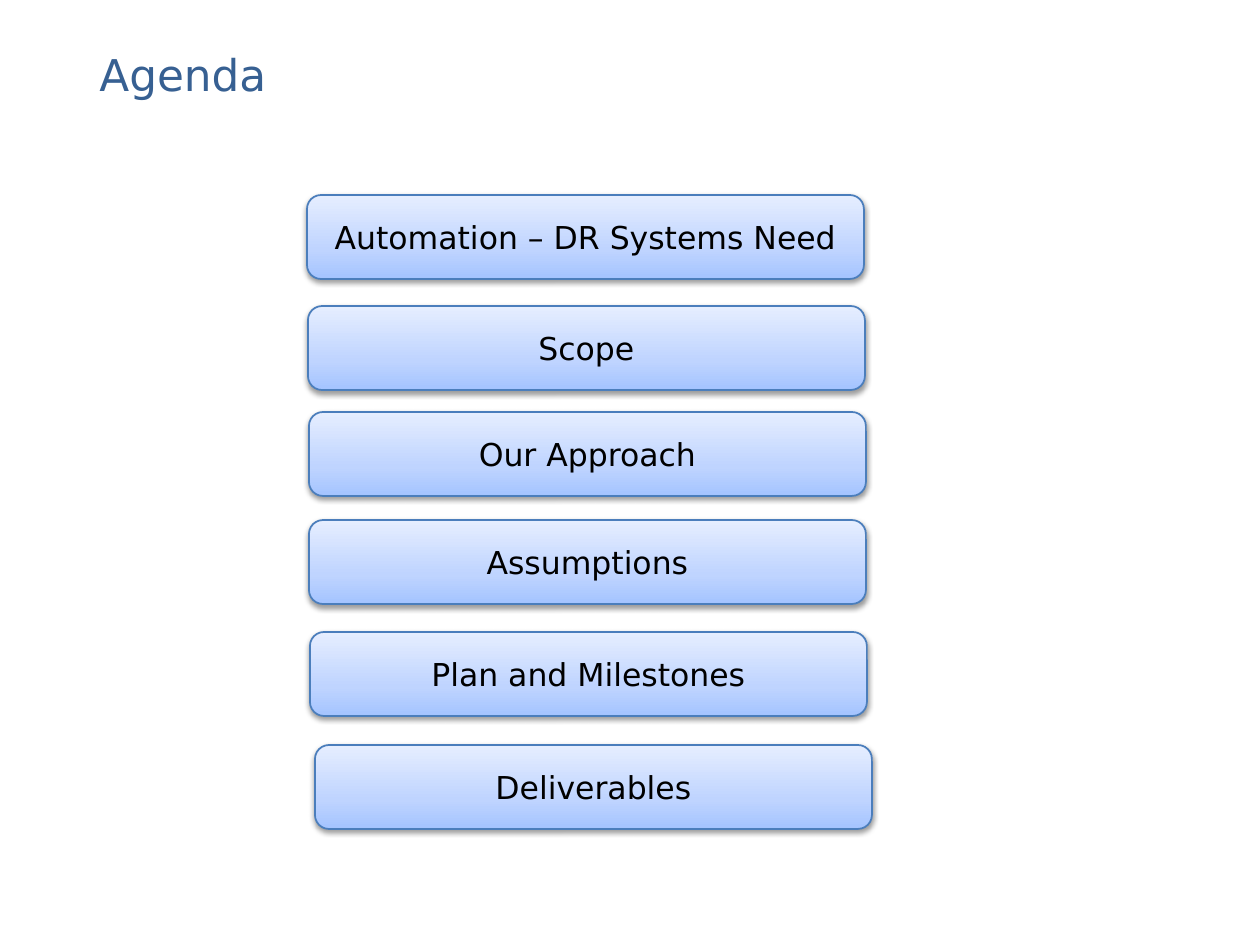
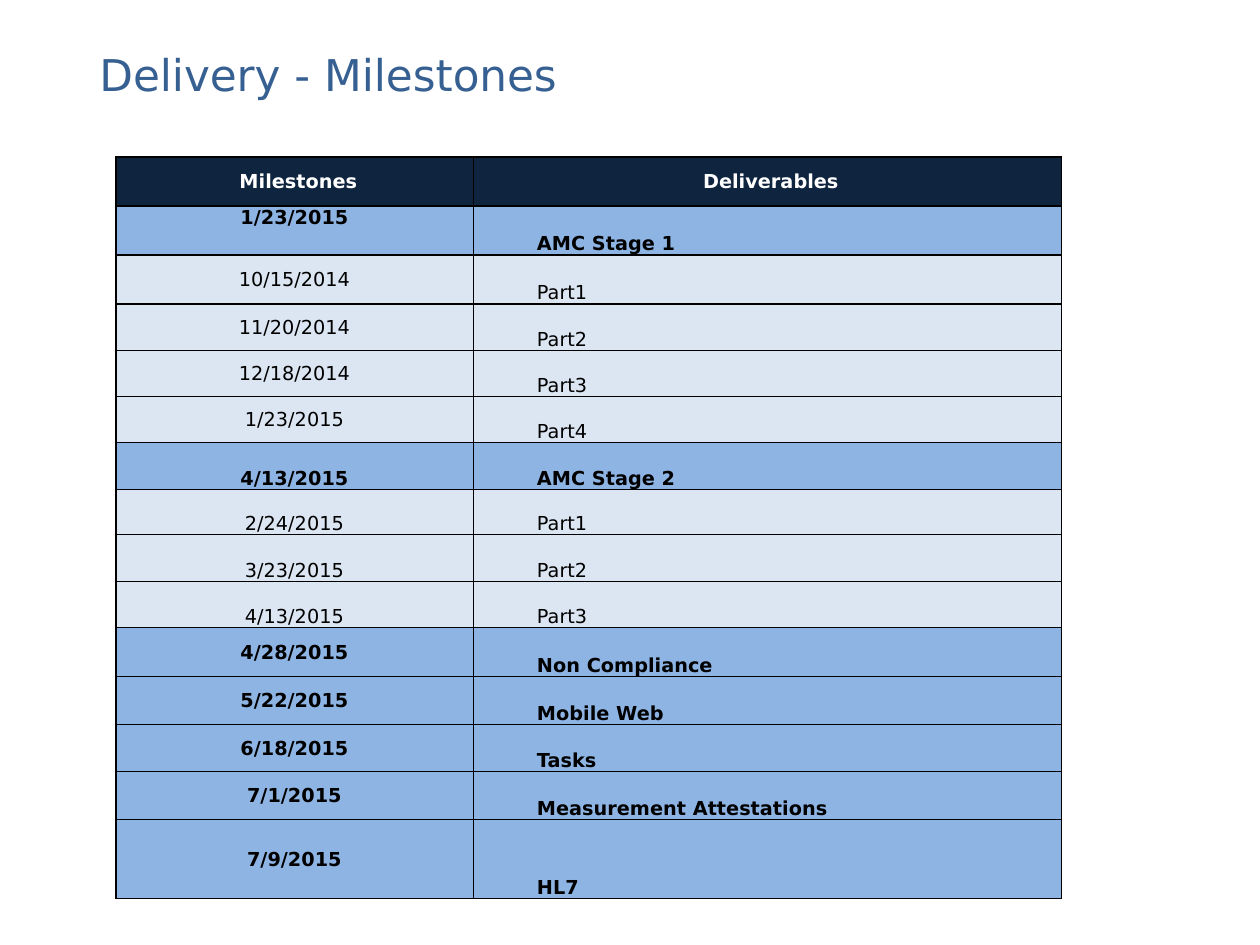
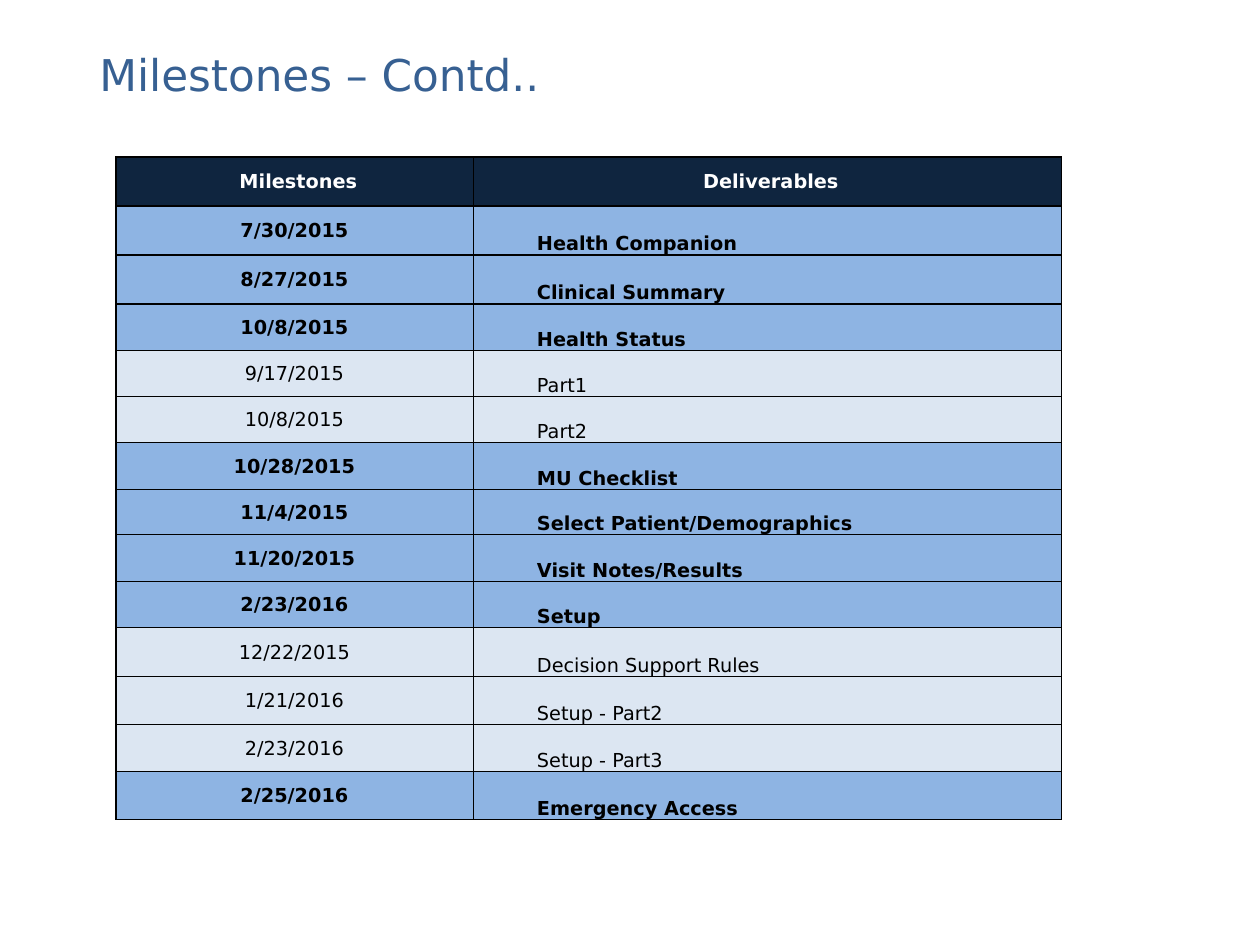
from dataclasses import dataclass
from lxml.etree import SubElement
from pptx import Presentation
from pptx.dml.color import RGBColor
from pptx.enum.shapes import MSO_SHAPE
from pptx.enum.text import MSO_ANCHOR as Anchor, MSO_AUTO_SIZE as AutoSize, PP_ALIGN as Align
from pptx.oxml import parse_xml
from pptx.oxml.ns import nsdecls, qn
from pptx.util import Emu, Pt

EMU_PER_PX = 914400 / 126


@dataclass(frozen=True)
class Theme:
    """Colours, font and type sizes shared by the slides."""
    font: str = "DejaVu Sans"
    title: str = "376092"
    ink: str = "000000"
    header_ink: str = "FFFFFF"
    header_fill: str = "0F253F"
    stage_fill: str = "8EB4E3"
    step_fill: str = "DCE6F2"
    outline: str = "4B7EBC"
    glow: tuple = ((0, "A4C4FF"), (35, "BFD4FF"), (100, "E6EEFF"))
    title_size: int = 25
    agenda_size: int = 18
    table_size: int = 11
    thin: float = 0.5
    thick: float = 1


THEME = Theme()

AGENDA = (
    ("Automation – DR Systems Need", 307, 195),
    ("Scope", 308, 306),
    ("Our Approach", 309, 412),
    ("Assumptions", 309, 520),
    ("Plan and Milestones", 310, 632),
    ("Deliverables", 315, 745),
)
ROW_HEIGHTS = (49, 49, 49, 47, 46, 46, 47, 45, 47, 46, 49, 48, 47, 48, 79)
THICK_RULES = {0, 1, 2, 3, 11, 12, 15}
HEADINGS = ("Milestones", "Deliverables")
DELIVERY = (
    ("1/23/2015", "AMC Stage 1", True, Anchor.TOP),
    ("10/15/2014", "Part1", False, Anchor.MIDDLE),
    ("11/20/2014", "Part2", False, Anchor.MIDDLE),
    ("12/18/2014", "Part3", False, Anchor.MIDDLE),
    ("1/23/2015", "Part4", False, Anchor.MIDDLE),
    ("4/13/2015", "AMC Stage 2", True, Anchor.BOTTOM),
    ("2/24/2015", "Part1", False, Anchor.BOTTOM),
    ("3/23/2015", "Part2", False, Anchor.BOTTOM),
    ("4/13/2015", "Part3", False, Anchor.BOTTOM),
    ("4/28/2015", "Non Compliance", True, Anchor.MIDDLE),
    ("5/22/2015", "Mobile Web", True, Anchor.MIDDLE),
    ("6/18/2015", "Tasks", True, Anchor.MIDDLE),
    ("7/1/2015", "Measurement Attestations", True, Anchor.MIDDLE),
    ("7/9/2015", "HL7", True, Anchor.MIDDLE),
)
CONTINUED = (
    ("7/30/2015", "Health Companion", True, Anchor.MIDDLE),
    ("8/27/2015", "Clinical Summary", True, Anchor.MIDDLE),
    ("10/8/2015", "Health Status", True, Anchor.MIDDLE),
    ("9/17/2015", "Part1", False, Anchor.MIDDLE),
    ("10/8/2015", "Part2", False, Anchor.MIDDLE),
    ("10/28/2015", "MU Checklist", True, Anchor.MIDDLE),
    ("11/4/2015", "Select Patient/Demographics", True, Anchor.MIDDLE),
    ("11/20/2015", "Visit Notes/Results", True, Anchor.MIDDLE),
    ("2/23/2016", "Setup", True, Anchor.MIDDLE),
    ("12/22/2015", "Decision Support Rules", False, Anchor.MIDDLE),
    ("1/21/2016", "Setup - Part2", False, Anchor.MIDDLE),
    ("2/23/2016", "Setup - Part3", False, Anchor.MIDDLE),
    ("2/25/2016", "Emergency Access", True, Anchor.MIDDLE),
)


def px(length):
    """Turn whole pixels into EMU."""
    return Emu(round(length * EMU_PER_PX))


def write(paragraph, text, size, color, bold=False, align=Align.LEFT):
    """Put styled text into a paragraph."""
    paragraph.text = text
    paragraph.alignment = align
    font = paragraph.font
    font.name, font.size, font.bold = THEME.font, Pt(size), bold
    font.color.rgb = RGBColor.from_string(color)


def add_title(slide, text, box):
    """Write the slide title in its box."""
    frame = slide.shapes.add_textbox(*map(px, box)).text_frame
    frame.word_wrap = True
    frame.auto_size = AutoSize.SHAPE_TO_FIT_TEXT
    write(frame.paragraphs[0], text, THEME.title_size, THEME.title)


def add_glow(button):
    """Give a button its upward gradient and soft shadow."""
    stops = "".join(
        f'<a:gs pos="{pos * 1000}"><a:srgbClr val="{color}"/></a:gs>'
        for pos, color in THEME.glow)
    gradient = parse_xml(
        f'<a:gradFill {nsdecls("a")} rotWithShape="1"><a:gsLst>{stops}</a:gsLst>'
        '<a:lin ang="16200000" scaled="0"/></a:gradFill>')
    shadow = parse_xml(
        f'<a:effectLst {nsdecls("a")}><a:outerShdw blurRad="{Pt(3.1)}" dist="{Pt(1.6)}" '
        f'dir="5400000" rotWithShape="0"><a:srgbClr val="{THEME.ink}">'
        '<a:alpha val="38000"/></a:srgbClr></a:outerShdw></a:effectLst>')
    properties = button._element.spPr
    properties.find(qn("a:prstGeom")).addnext(gradient)
    properties.append(shadow)


def add_button(slide, text, box):
    """Draw one agenda button."""
    button = slide.shapes.add_shape(MSO_SHAPE.ROUNDED_RECTANGLE, *map(px, box))
    button.line.color.rgb = RGBColor.from_string(THEME.outline)
    button.line.width = Pt(1)
    add_glow(button)
    frame = button.text_frame
    frame.word_wrap = True
    frame.vertical_anchor = Anchor.MIDDLE
    write(frame.paragraphs[0], text, THEME.agenda_size, THEME.ink, align=Align.CENTER)


def rule_cell(cell, widths):
    """Draw the left, right, top and bottom borders of a cell."""
    properties = cell._tc.get_or_add_tcPr()
    for index, (side, width) in enumerate(zip("LRTB", widths)):
        border = parse_xml(f'<a:ln{side} {nsdecls("a")} w="{Pt(width)}"/>')
        fill = SubElement(border, qn("a:solidFill"))
        SubElement(fill, qn("a:srgbClr"), val=THEME.ink)
        properties.insert(index, border)


def style_cell(cell, fill, anchor, left_inset, widths):
    """Set the fill, anchor, insets and borders of a cell."""
    cell.fill.solid()
    cell.fill.fore_color.rgb = RGBColor.from_string(fill)
    cell.vertical_anchor = anchor
    cell.margin_left = px(left_inset)
    cell.margin_top = cell.margin_right = px(1)
    cell.margin_bottom = 0
    rule_cell(cell, widths)


def add_milestones(slide, milestones, box):
    """Build the table of dates and deliverables."""
    left, top, width, date_width = box
    count = len(milestones) + 1
    heights = ROW_HEIGHTS[:count]
    table = slide.shapes.add_table(
        count, 2, px(left), px(top), px(width), px(sum(heights))).table
    table.first_row = table.horz_banding = False
    table.columns[0].width = px(date_width)
    table.columns[1].width = px(width - date_width)
    rules = [THEME.thick if i in THICK_RULES else THEME.thin for i in range(count + 1)]
    for row, height in zip(table.rows, heights):
        row.height = px(height)
    for column, heading in enumerate(HEADINGS):
        cell = table.cell(0, column)
        edge = THEME.thin if column else THEME.thick
        style_cell(cell, THEME.header_fill, Anchor.MIDDLE, 9, (edge, THEME.thin, *rules[:2]))
        write(cell.text_frame.paragraphs[0], heading, THEME.table_size,
              THEME.header_ink, True, Align.CENTER)
    for row, (date, deliverable, is_stage, date_anchor) in enumerate(milestones, 1):
        fill = THEME.stage_fill if is_stage else THEME.step_fill
        columns = ((date, date_anchor, Align.CENTER, THEME.thick),
                   (deliverable, Anchor.BOTTOM, Align.LEFT, THEME.thin))
        for column, (text, anchor, align, edge) in enumerate(columns):
            cell = table.cell(row, column)
            style_cell(cell, fill, anchor, 1, (edge, THEME.thin, *rules[row:row + 2]))
            paragraph = cell.text_frame.paragraphs[0]
            write(paragraph, text, THEME.table_size, THEME.ink, is_stage, align)
            if column:
                paragraph.level = 1
                indent = paragraph._p.get_or_add_pPr()
                indent.set("marL", str(px(63)))
                indent.set("indent", "0")


def agenda_slide(slide):
    """Lay out the agenda."""
    add_title(slide, "Agenda", (87, 42, 712, 68))
    for topic, left, top in AGENDA:
        add_button(slide, topic, (left, top, 557, 84))


def milestone_slide(slide, title, milestones):
    """Lay out a title above a milestone table."""
    add_title(slide, title, (87, 42, 921, 66))
    add_milestones(slide, milestones, (116, 157, 945, 357))


def main():
    """Build and save the three slides."""
    deck = Presentation()
    deck.slide_width, deck.slide_height = px(1260), px(945)
    blank = deck.slide_layouts[6]
    agenda_slide(deck.slides.add_slide(blank))
    for title, milestones in (("Delivery - Milestones", DELIVERY),
                              ("Milestones – Contd..", CONTINUED)):
        milestone_slide(deck.slides.add_slide(blank), title, milestones)
    deck.save("out.pptx")


if __name__ == "__main__":
    main()
